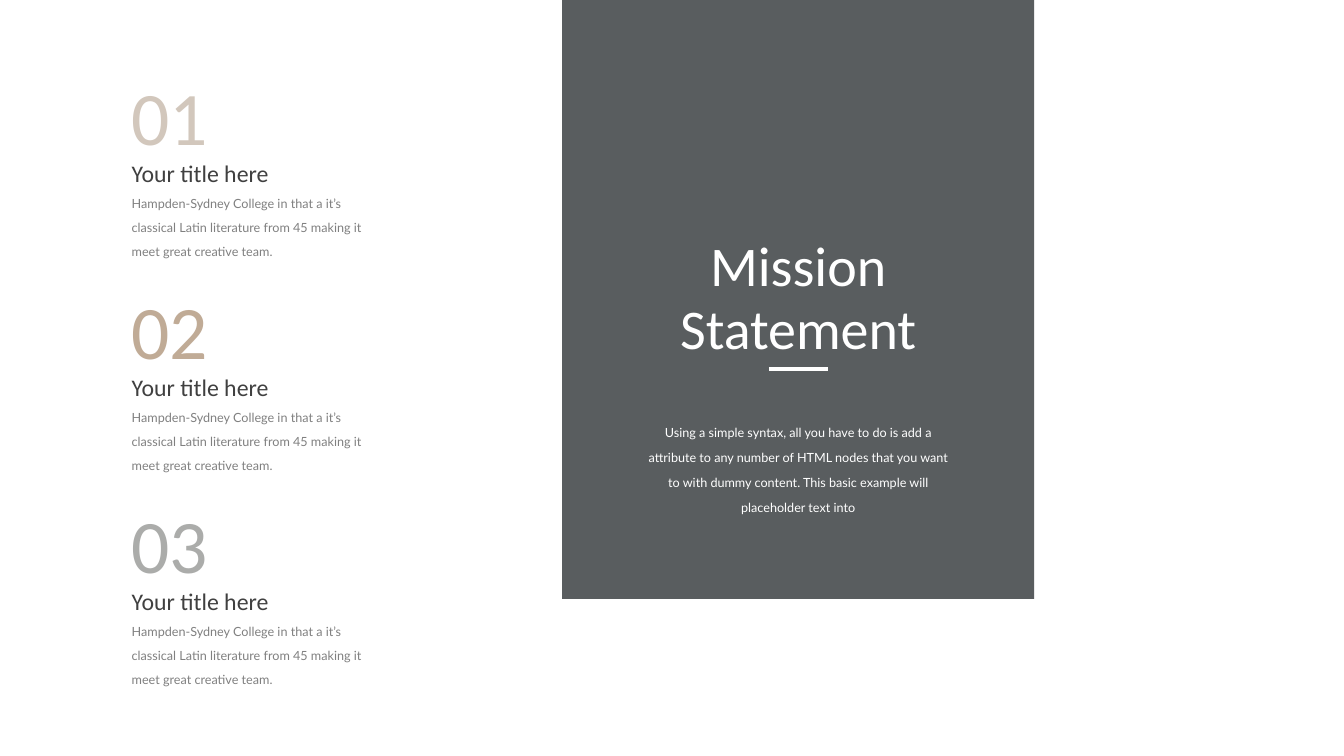
from lxml import etree
from pptx import Presentation
from pptx import util as u
from pptx.dml.color import RGBColor
from pptx.enum import shapes, text
from pptx.oxml.ns import qn

WHITE = RGBColor(0xFF, 0xFF, 0xFF)
SLATE = RGBColor(0x30, 0x35, 0x38)
DARK = RGBColor(0x40, 0x40, 0x40)
GREY = RGBColor(0x80, 0x80, 0x80)
SAND = RGBColor(0xD2, 0xC7, 0xBC)
TAN = RGBColor(0xC0, 0xAB, 0x96)
SILVER = RGBColor(0xAB, 0xAC, 0xAA)

HEADING = {"name": "Calibri", "size": u.Pt(40)}
NUMBER = {"name": "Calibri", "size": u.Pt(54)}
TITLE = {"name": "Calibri", "size": u.Pt(17)}
BODY = {"name": "Lato", "size": u.Pt(9)}
CENTRED = {"alignment": text.PP_ALIGN.CENTER}


def add_text(parent, box, lines, font, colour, layout=None, anchor=text.MSO_ANCHOR.TOP):
    """Add a wrapped text box with one paragraph per line."""
    frame = parent.add_textbox(*map(u.Cm, box)).text_frame
    frame.word_wrap = True
    frame.auto_size = text.MSO_AUTO_SIZE.SHAPE_TO_FIT_TEXT
    frame.vertical_anchor = anchor
    for index, line in enumerate(lines):
        para = frame.add_paragraph() if index else frame.paragraphs[0]
        span = para.add_run()
        span.text = line
        for name, value in (layout or {}).items():
            setattr(para, name, value)
        for name, value in font.items():
            setattr(span.font, name, value)
        span.font.color.rgb = colour


def add_mission_panel(page, box):
    """Draw the dark panel with its heading, short rule and statement."""
    left, top, width, height = box
    middle = left + width / 2
    panel = page.shapes.add_shape(shapes.MSO_SHAPE.RECTANGLE, *map(u.Cm, box))
    panel.shadow.inherit = False
    panel.fill.solid()
    panel.fill.fore_color.rgb = SLATE
    panel.line.fill.background()
    colour = next(panel.fill._xPr.iter(qn("a:srgbClr")))
    etree.SubElement(colour, qn("a:alpha"), val="80000")

    add_text(page.shapes, (middle - 4.15, top + 5.79, 8.3, 3.45),
             ["Mission", "Statement"], HEADING, WHITE,
             {**CENTRED, "line_spacing": u.Pt(45)})

    rule_y = u.Cm(top + 9.3)
    rule = page.shapes.add_connector(
        shapes.MSO_CONNECTOR.STRAIGHT,
        u.Cm(middle - 0.74), rule_y, u.Cm(middle + 0.74), rule_y)
    rule.line.color.rgb = WHITE
    rule.line.width = u.Pt(3)
    etree.SubElement(rule._element.spPr, qn("a:effectLst"))

    add_text(page.shapes, (middle - 4.05, top + 10.36, 8.1, 2.72),
             ["Using a simple syntax, all you have to do is add a attribute to any "
              "number of HTML nodes that you want to with dummy content. This basic "
              "example will placeholder text into"],
             BODY, WHITE, {**CENTRED, "line_spacing": u.Pt(18)},
             text.MSO_ANCHOR.MIDDLE)


def add_item(page, box, number, colour):
    """Place a numbered item as a group of title, description and number."""
    left, top, width = box
    group = page.shapes.add_group_shape().shapes
    add_text(group, (left, top + 2.24, width, 0.99), ["Your title here"], TITLE, DARK)
    add_text(group, (left, top + 2.97, width, 1.98),
             ["Hampden-Sydney College in that a it’s",
              "classical Latin literature from 45 making it meet great creative team."],
             BODY, GREY, {"line_spacing": u.Pt(17)})
    add_text(group, (left, top, 2.44, 2.57), [number], NUMBER, colour)


def add_items(page, box, pitch):
    """Stack the numbered items at an equal pitch."""
    left, top, width = box
    for index, colour in enumerate((SAND, TAN, SILVER)):
        add_item(page, (left, top + index * pitch, width), f"{index + 1:02}", colour)


def main():
    """Build and save the mission statement slide."""
    deck = Presentation()
    deck.slide_width, deck.slide_height = u.Cm(33.87), u.Cm(19.05)
    page = deck.slides.add_slide(deck.slide_layouts[6])
    page.background.fill.solid()
    page.background.fill.fore_color.rgb = WHITE
    add_mission_panel(page, (14.17, 0, 11.89, 15.09))
    add_items(page, (3.07, 1.63, 6.38), 5.39)
    deck.save("out.pptx")


if __name__ == "__main__":
    main()
